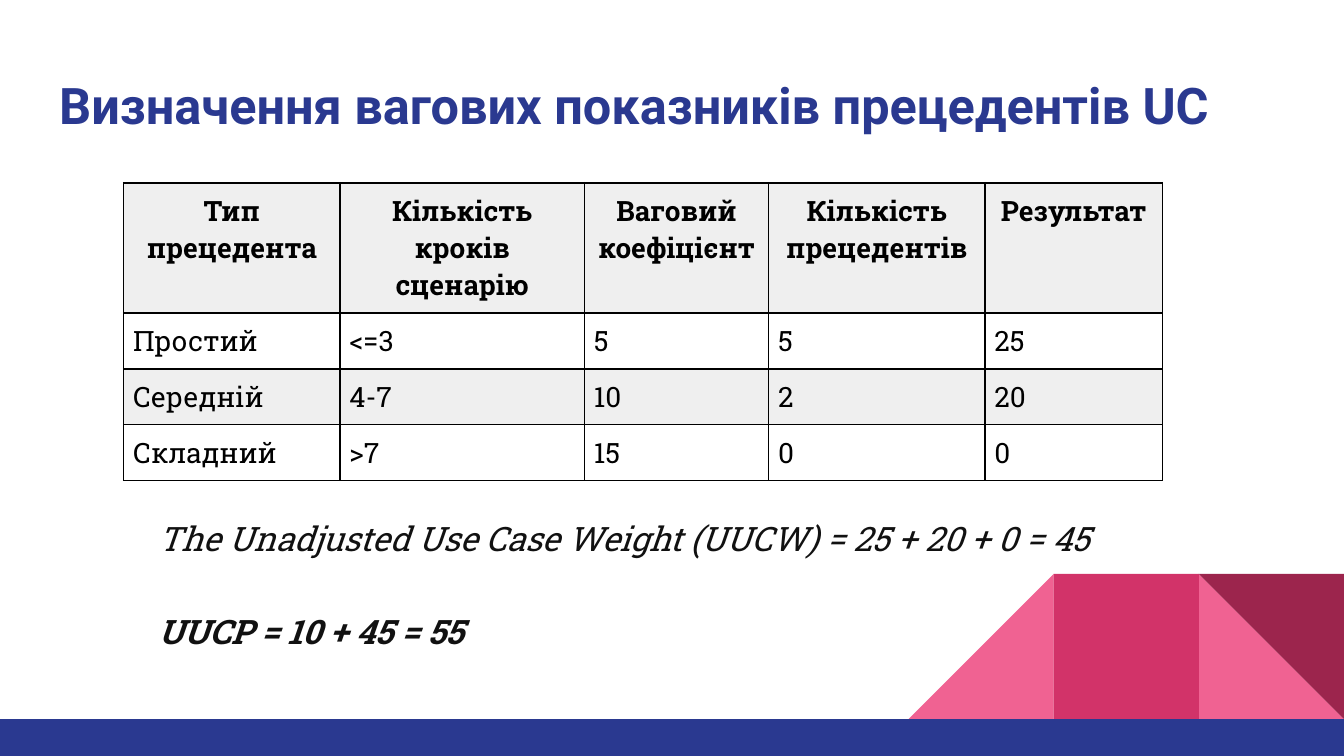
from lxml.etree import SubElement
from pptx import Presentation
from pptx.dml.color import RGBColor
from pptx.enum.shapes import MSO_SHAPE
from pptx.enum.text import MSO_ANCHOR, MSO_AUTO_SIZE, PP_ALIGN
from pptx.oxml.ns import qn
from pptx.util import Inches, Pt

NAVY, PINK, ROSE, WINE = "2A3990", "F06292", "D23369", "9C254D"
BLACK, INK, GRAY = "000000", "111111", "EFEFEF"

SLIDE_WIDTH = 10
SLIDE_HEIGHT = SLIDE_WIDTH * 9 / 16
TILE = 1.08
TILE_TOP = 4.27
BAR_TOP = TILE_TOP + TILE
# shape, left edge counted in tiles from the right, rotation, colour
TILES = [
    (MSO_SHAPE.RIGHT_TRIANGLE, 1, 0, PINK),
    (MSO_SHAPE.RIGHT_TRIANGLE, 3, 270, PINK),
    (MSO_SHAPE.RECTANGLE, 2, 0, ROSE),
    (MSO_SHAPE.RIGHT_TRIANGLE, 1, 180, WINE),
]

COLUMN_WIDTHS = [1.61, 1.82, 1.37, 1.61, 1.32]
ROW_HEIGHTS = [0.97, 0.41, 0.41, 0.41]
ROWS = [
    ["Тип\nпрецедента", "Кількість кроків\nсценарію", "Ваговий\nкоефіцієнт",
     "Кількість\nпрецедентів", "Результат"],
    ["Простий", "<=3", "5", "5", "25"],
    ["Середній", "4-7", "10", "2", "20"],
    ["Складний", ">7", "15", "0", "0"],
]


def color(hex_value):
    return RGBColor.from_string(hex_value)


def box(left, top, width, height):
    return [Inches(value) for value in (left, top, width, height)]


def format_font(paragraph, hex_color, **values):
    for name, value in values.items():
        setattr(paragraph.font, name, value)
    paragraph.font.color.rgb = color(hex_color)


def format_frame(frame, **values):
    margins = {f"margin_{side}": Inches(0.1)
               for side in ("left", "top", "right", "bottom")}
    settings = {"word_wrap": True, "auto_size": MSO_AUTO_SIZE.NONE,
                **margins, **values}
    for name, value in settings.items():
        setattr(frame, name, value)


def add_block(slide, kind, place, hex_color, rotation=0):
    shape = slide.shapes.add_shape(kind, *box(*place))
    shape.shadow.inherit = False
    shape.rotation = rotation
    shape.fill.solid()
    shape.fill.fore_color.rgb = color(hex_color)
    shape.line.fill.background()


def add_decoration(slide):
    for kind, tiles_from_right, rotation, hex_color in TILES:
        place = (SLIDE_WIDTH - tiles_from_right * TILE, TILE_TOP, TILE, TILE)
        add_block(slide, kind, place, hex_color, rotation)
    bar = (0, BAR_TOP, SLIDE_WIDTH, SLIDE_HEIGHT - BAR_TOP)
    add_block(slide, MSO_SHAPE.RECTANGLE, bar, NAVY)


def set_title(slide, text):
    title = slide.shapes.title
    title.left, title.top, title.width, title.height = box(0.34, 0.45, 9.32, 0.66)
    format_frame(title.text_frame, vertical_anchor=MSO_ANCHOR.TOP)
    title.text_frame.text = text
    paragraph = title.text_frame.paragraphs[0]
    paragraph.alignment = PP_ALIGN.LEFT
    format_font(paragraph, NAVY, name="Roboto", size=Pt(27), bold=True)


def add_borders(cell):
    properties = cell._tc.get_or_add_tcPr()
    for side in ("lnL", "lnR", "lnT", "lnB"):
        line = SubElement(properties, qn(f"a:{side}"), w=str(Pt(1)))
        fill = SubElement(line, qn("a:solidFill"))
        SubElement(fill, qn("a:srgbClr"), val=BLACK)


def fill_cell(cell, text, is_header, is_shaded):
    add_borders(cell)
    if is_shaded:
        cell.fill.solid()
        cell.fill.fore_color.rgb = color(GRAY)
    else:
        cell.fill.background()
    for side in ("left", "top", "right", "bottom"):
        setattr(cell, f"margin_{side}", Inches(0.07))
    cell.text = text
    for paragraph in cell.text_frame.paragraphs:
        paragraph.alignment = PP_ALIGN.CENTER if is_header else PP_ALIGN.LEFT
        format_font(paragraph, BLACK, name="Roboto Slab", size=Pt(15),
                    bold=is_header)


def add_weight_table(slide):
    place = box(0.92, 1.36, sum(COLUMN_WIDTHS), sum(ROW_HEIGHTS))
    table = slide.shapes.add_table(len(ROWS), len(COLUMN_WIDTHS), *place).table
    for column, width in zip(table.columns, COLUMN_WIDTHS):
        column.width = Inches(width)
    for row, height in zip(table.rows, ROW_HEIGHTS):
        row.height = Inches(height)
    for row_index, texts in enumerate(ROWS):
        for column_index, text in enumerate(texts):
            fill_cell(table.cell(row_index, column_index), text,
                      is_header=row_index == 0, is_shaded=row_index % 2 == 0)


def add_formulas(slide):
    frame = slide.shapes.add_textbox(*box(1.08, 3.71, 7.42, 1.2)).text_frame
    format_frame(frame)
    frame.text = ("The Unadjusted Use Case Weight (UUCW) = 25 + 20 + 0 = 45\n"
                  "UUCP = 10 + 45 = 55")
    weight, total = frame.paragraphs
    for paragraph in (weight, total):
        paragraph.line_spacing = 1.15
        format_font(paragraph, INK, name="Roboto Slab", size=Pt(18),
                    italic=True, bold=paragraph is total)
    total.space_before = Pt(25)


def main():
    presentation = Presentation()
    presentation.slide_width = Inches(SLIDE_WIDTH)
    presentation.slide_height = Inches(SLIDE_HEIGHT)
    title_only = presentation.slide_layouts[5]
    slide = presentation.slides.add_slide(title_only)
    add_decoration(slide)
    set_title(slide, "Визначення вагових показників прецедентів UC")
    add_weight_table(slide)
    add_formulas(slide)
    presentation.save("out.pptx")


if __name__ == "__main__":
    main()
